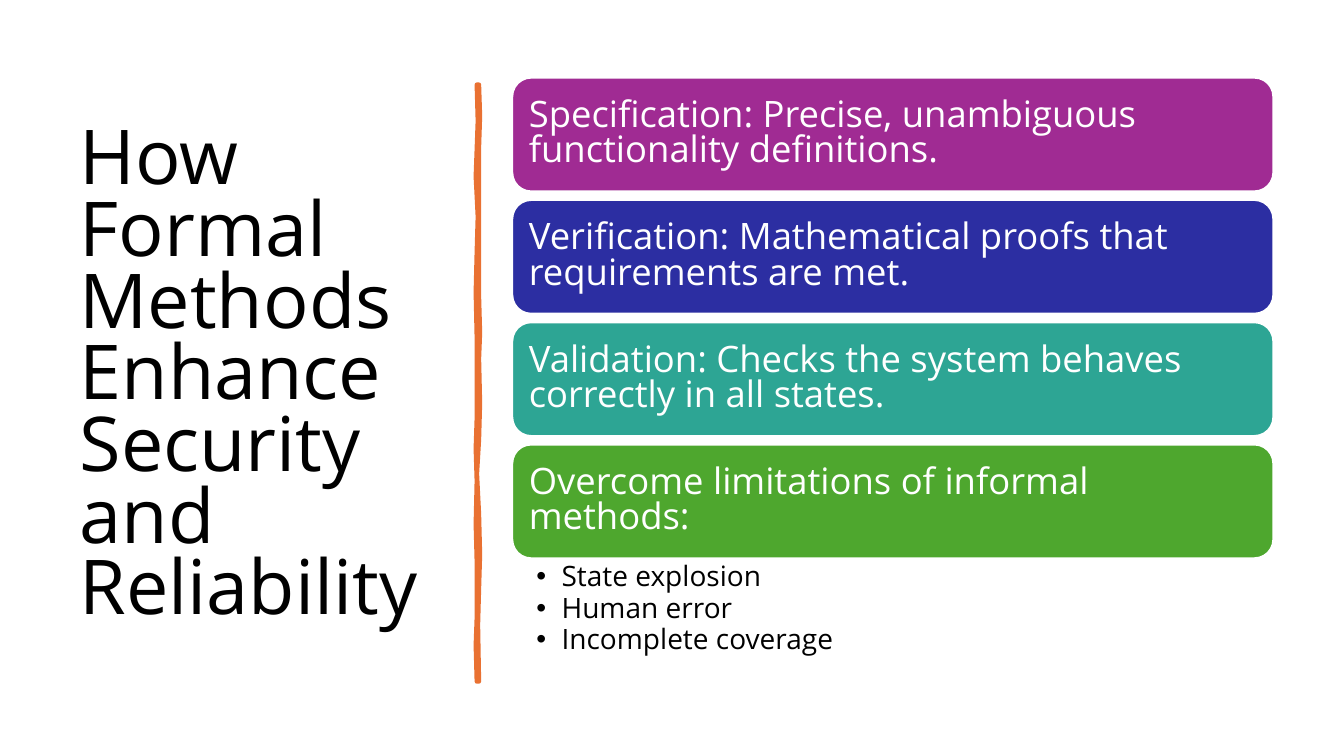
from dataclasses import dataclass

from lxml.etree import SubElement
from pptx import Presentation
from pptx.dml.color import RGBColor
from pptx.enum.shapes import MSO_SHAPE
from pptx.enum.text import MSO_ANCHOR, MSO_AUTO_SIZE, PP_ALIGN
from pptx.oxml.ns import qn
from pptx.util import Inches, Pt


@dataclass(frozen=True)
class Theme:
    font: str = "Open Sans"
    ink: str = "000000"
    paper: str = "FFFFFF"
    divider: str = "E97132"
    title_size: float = 54
    card_size: float = 26
    bullet_size: float = 20


THEME = Theme()

TITLE = "How Formal Methods Enhance Security and Reliability"
CARDS = [
    ("Specification: Precise, unambiguous functionality definitions.", "A02B93"),
    ("Verification: Mathematical proofs that requirements are met.", "2C2EA2"),
    ("Validation: Checks the system behaves correctly in all states.", "2DA594"),
    ("Overcome limitations of informal methods:", "4EA72E"),
]
LIMITATIONS = ["State explosion", "Human error", "Incomplete coverage"]

CARD_LEFT, CARD_WIDTH, CARD_HEIGHT = 5.08, 7.55, 1.13
FIRST_CARD_TOP, LAST_CARD_TOP = 0.77, 4.41

RIGHT_EDGE = [
    (4.75, 0.84), (4.76, 1.15), (4.75, 1.46), (4.75, 2.94), (4.76, 3.3),
    (4.75, 3.56), (4.76, 4), (4.75, 4.36), (4.73, 4.7), (4.75, 5.1),
    (4.76, 5.5), (4.75, 5.84), (4.74, 6.2), (4.75, 6.76),
]
LEFT_EDGE = [
    (4.73, 6.76), (4.72, 6.4), (4.73, 6.13), (4.73, 5.57), (4.72, 5.2),
    (4.73, 4.77), (4.72, 4.45), (4.73, 4.15), (4.73, 3.35), (4.72, 2.9),
    (4.73, 2.5), (4.74, 2.15), (4.72, 1.75), (4.74, 1.2), (4.73, 0.84),
]


def color(code):
    return RGBColor.from_string(code)


def add_words(paragraph, words, size, ink, line_spacing):
    paragraph.alignment = PP_ALIGN.LEFT
    paragraph.line_spacing = line_spacing
    run = paragraph.add_run()
    run.text = words
    run.font.name = THEME.font
    run.font.size = Pt(size)
    run.font.color.rgb = color(ink)


def set_frame(frame, anchor, left, top, right, bottom):
    frame.word_wrap = True
    frame.auto_size = MSO_AUTO_SIZE.NONE
    frame.vertical_anchor = anchor
    frame.margin_left, frame.margin_top = Inches(left), Inches(top)
    frame.margin_right, frame.margin_bottom = Inches(right), Inches(bottom)


def paint(shape, fill, line, width):
    shape.shadow.inherit = False
    shape.fill.solid()
    shape.fill.fore_color.rgb = color(fill)
    shape.line.color.rgb = color(line)
    shape.line.width = Pt(width)


def place_title(slide):
    title = slide.shapes.title
    title.left, title.top = Inches(0.69), Inches(0.7)
    title.width, title.height = Inches(3.74), Inches(6.11)
    set_frame(title.text_frame, MSO_ANCHOR.MIDDLE, 0.1, 0.05, 0.1, 0.05)
    add_words(title.text_frame.paragraphs[0], TITLE, THEME.title_size, THEME.ink, 0.79)


def add_divider(slide):
    start, *outline = [(Inches(x), Inches(y)) for x, y in RIGHT_EDGE + LEFT_EDGE]
    builder = slide.shapes.build_freeform(*start)
    builder.add_line_segments(outline, close=True)
    paint(builder.convert_to_shape(), THEME.divider, THEME.divider, 3.25)


def add_card(slide, top, words, fill):
    card = slide.shapes.add_shape(
        MSO_SHAPE.ROUNDED_RECTANGLE,
        Inches(CARD_LEFT), Inches(top), Inches(CARD_WIDTH), Inches(CARD_HEIGHT),
    )
    paint(card, fill, THEME.paper, 1.5)
    set_frame(card.text_frame, MSO_ANCHOR.MIDDLE, 0.11, 0.11, 0.11, 0.11)
    add_words(card.text_frame.paragraphs[0], words, THEME.card_size, THEME.paper, 0.81)


def add_bullet(paragraph):
    properties = paragraph._p.get_or_add_pPr()
    properties.set("marL", str(Inches(0.25)))
    properties.set("indent", str(Inches(-0.25)))
    SubElement(properties, qn("a:buFont")).set("typeface", "Arial")
    SubElement(properties, qn("a:buChar")).set("char", "•")


def add_limitations(slide):
    box = slide.shapes.add_textbox(
        Inches(CARD_LEFT), Inches(LAST_CARD_TOP + CARD_HEIGHT),
        Inches(CARD_WIDTH), Inches(1.15),
    )
    frame = box.text_frame
    set_frame(frame, MSO_ANCHOR.TOP, 0.24, 0.04, 0.2, 0.04)
    for index, limitation in enumerate(LIMITATIONS):
        paragraph = frame.add_paragraph() if index else frame.paragraphs[0]
        add_words(paragraph, limitation, THEME.bullet_size, THEME.ink, 0.9)
        paragraph.space_after = Pt(1)
        add_bullet(paragraph)


def main():
    deck = Presentation()
    deck.slide_width, deck.slide_height = Inches(13.33), Inches(7.5)
    slide = deck.slides.add_slide(deck.slide_layouts.get_by_name("Title Only"))
    place_title(slide)
    add_divider(slide)
    pitch = (LAST_CARD_TOP - FIRST_CARD_TOP) / (len(CARDS) - 1)
    for index, (words, fill) in enumerate(CARDS):
        add_card(slide, FIRST_CARD_TOP + index * pitch, words, fill)
    add_limitations(slide)
    deck.save("out.pptx")


if __name__ == "__main__":
    main()
